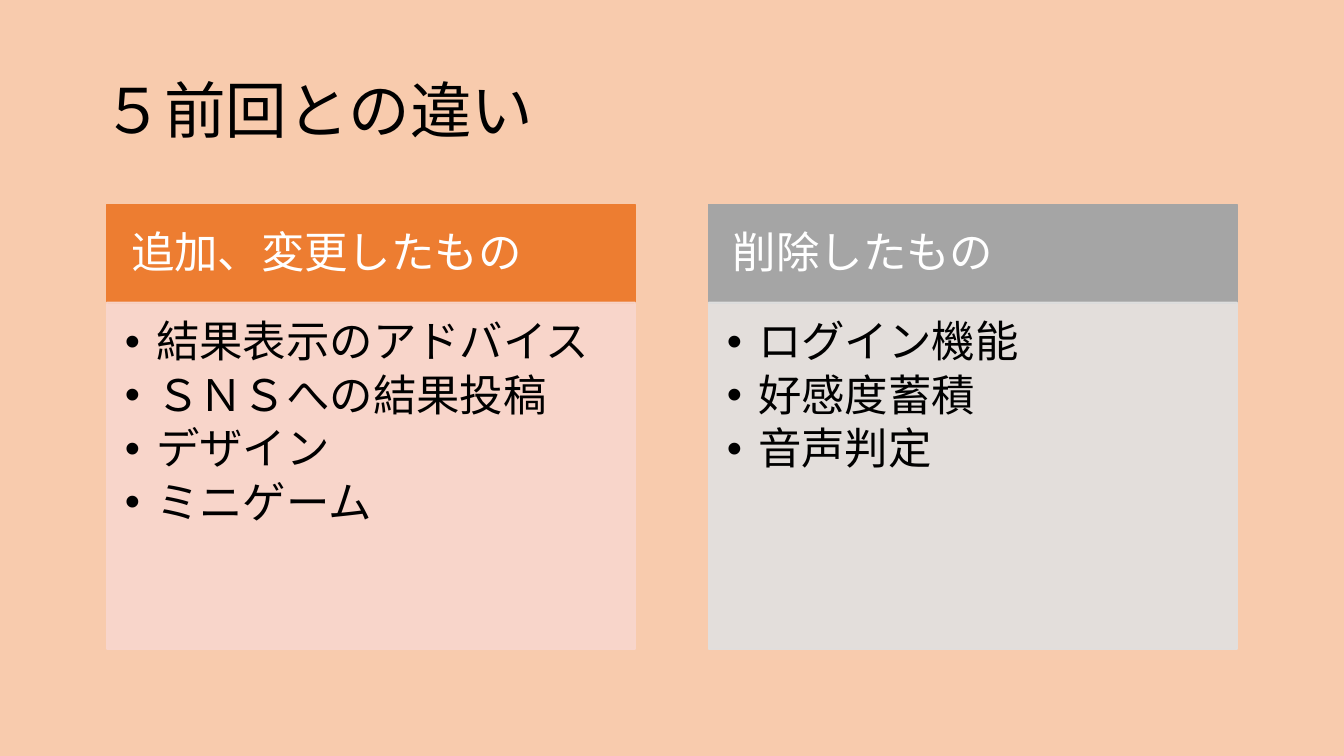
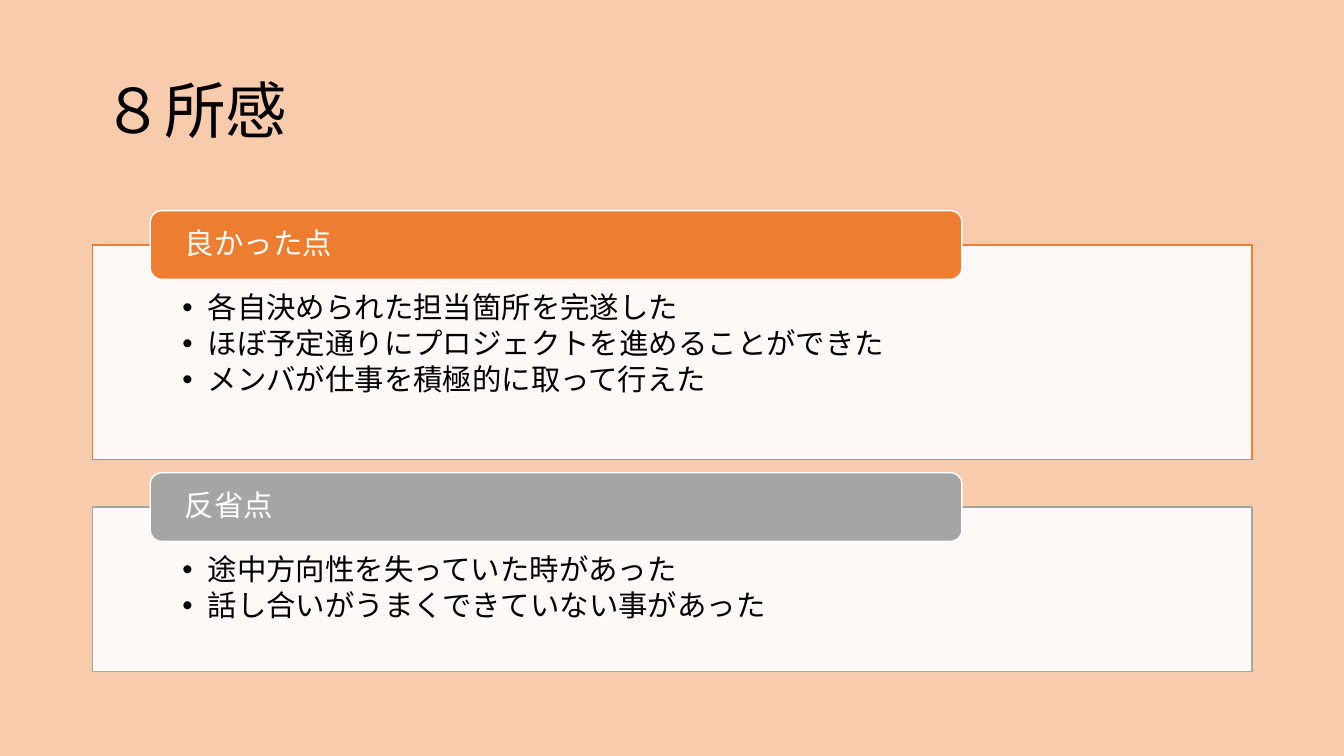
from dataclasses import dataclass

from lxml import etree
from pptx import Presentation
from pptx.dml.color import RGBColor
from pptx.enum.shapes import MSO_SHAPE
from pptx.enum.text import MSO_ANCHOR, PP_ALIGN
from pptx.oxml.ns import qn
from pptx.util import Emu, Pt

RECT = MSO_SHAPE.RECTANGLE
ROUND = MSO_SHAPE.ROUNDED_RECTANGLE
TOP = MSO_ANCHOR.TOP
MIDDLE = MSO_ANCHOR.MIDDLE
LEFT = PP_ALIGN.LEFT


@dataclass(frozen=True)
class Theme:
    font: str = "Calibri"
    back: str = "F8CBAD"
    ink: str = "000000"
    white: str = "FFFFFF"
    orange: str = "ED7D31"
    grey: str = "A5A5A5"
    peach: str = "F8D7CE"
    mist: str = "E1E1E1"
    title: int = 44
    large: int = 31
    small: int = 21


THEME = Theme()


def px(count):
    """Turn px, 100 to the inch, into EMU."""
    return Emu(count * 9144)


def rgb(code):
    return RGBColor.from_string(code)


def add(parent, tag, **attrs):
    return etree.SubElement(parent, qn(tag), attrs)


def fade(fill, alpha):
    """Set the opacity, in percent, of a solid fill of a shape or line."""
    color = fill._xPr.find(qn("a:solidFill"))[0]
    add(color, "a:alpha", val=str(alpha * 1000))


def write(shape, lines, size, color, anchor=MIDDLE, inset=(10, 5, 10, 5),
          after=0, hang=0):
    """Fill a shape with paragraphs; after is in percent, hang adds bullets."""
    frame = shape.text_frame
    frame.word_wrap = True
    frame.vertical_anchor = anchor
    (frame.margin_left, frame.margin_top,
     frame.margin_right, frame.margin_bottom) = map(px, inset)
    for i, line in enumerate(lines):
        para = frame.paragraphs[0] if i == 0 else frame.add_paragraph()
        para.alignment = LEFT
        para.line_spacing = 0.9
        props = para._p.get_or_add_pPr()
        if after:
            space = add(props, "a:spcAft")
            add(space, "a:spcPct", val=str(after * 1000))
        if hang:
            props.set("marL", str(px(hang)))
            props.set("indent", str(px(-hang)))
            add(props, "a:buFont", typeface="Arial")
            add(props, "a:buChar", char="•")
        run = para.add_run()
        run.text = line
        run.font.name = THEME.font
        run.font.size = Pt(size)
        run.font.color.rgb = rgb(color)


class Deck:
    def __init__(self):
        self.show = Presentation()
        self.show.slide_width = px(1333)
        self.show.slide_height = px(750)
        self.slide = None

    def page(self, title):
        self.slide = self.show.slides.add_slide(self.show.slide_layouts[6])
        fill = self.slide.background.fill
        fill.solid()
        fill.fore_color.rgb = rgb(THEME.back)
        box = self.slide.shapes.add_textbox(*map(px, (92, 40, 1150, 145)))
        write(box, [title], THEME.title, THEME.ink)

    def shape(self, kind, area, color, edge, alpha=100, rim=100):
        shape = self.slide.shapes.add_shape(kind, *map(px, area))
        shape.shadow.inherit = False
        shape.fill.solid()
        shape.fill.fore_color.rgb = rgb(color)
        shape.line.color.rgb = rgb(edge)
        shape.line.width = Pt(1)
        if alpha < 100:
            fade(shape.fill, alpha)
        if rim < 100:
            fade(shape.line.fill, rim)
        return shape

    def column(self, x, head, items, color, tint):
        """Draw a heading band over a tinted list."""
        band = self.shape(RECT, (x, 203, 524, 98), color, color)
        write(band, [head], THEME.large, THEME.white,
              inset=(24, 14, 24, 14), after=35)
        body = self.shape(RECT, (x, 300, 524, 344), tint, tint, 90, 90)
        write(body, items, THEME.large, THEME.ink, TOP,
              (18, 18, 24, 27), after=15, hang=31)

    def panel(self, y, height, head, items, color):
        """Draw a framed list with a rounded tab over its top edge."""
        body = self.shape(RECT, (92, y, 1150, height), THEME.white, color, 90)
        write(body, items, THEME.small, THEME.ink, TOP,
              (89, 48, 89, 16), after=15, hang=25)
        tab = self.shape(ROUND, (149, y - 34, 805, 68), color, THEME.white)
        write(tab, [head], THEME.small, THEME.white,
              inset=(31, 0, 31, 0), after=35)


def main():
    deck = Deck()
    deck.page("５前回との違い")
    deck.column(106, "追加、変更したもの",
                ["結果表示のアドバイス", "ＳＮＳへの結果投稿", "デザイン", "ミニゲーム"],
                THEME.orange, THEME.peach)
    deck.column(703, "削除したもの", ["ログイン機能", "好感度蓄積", "音声判定"],
                THEME.grey, THEME.mist)

    deck.page("８所感")
    deck.panel(243, 213, "良かった点",
               ["各自決められた担当箇所を完遂した",
                "ほぼ予定通りにプロジェクトを進めることができた",
                "メンバが仕事を積極的に取って行えた"], THEME.orange)
    deck.panel(503, 163, "反省点",
               ["途中方向性を失っていた時があった",
                "話し合いがうまくできていない事があった"], THEME.grey)
    deck.show.save("out.pptx")


if __name__ == "__main__":
    main()
